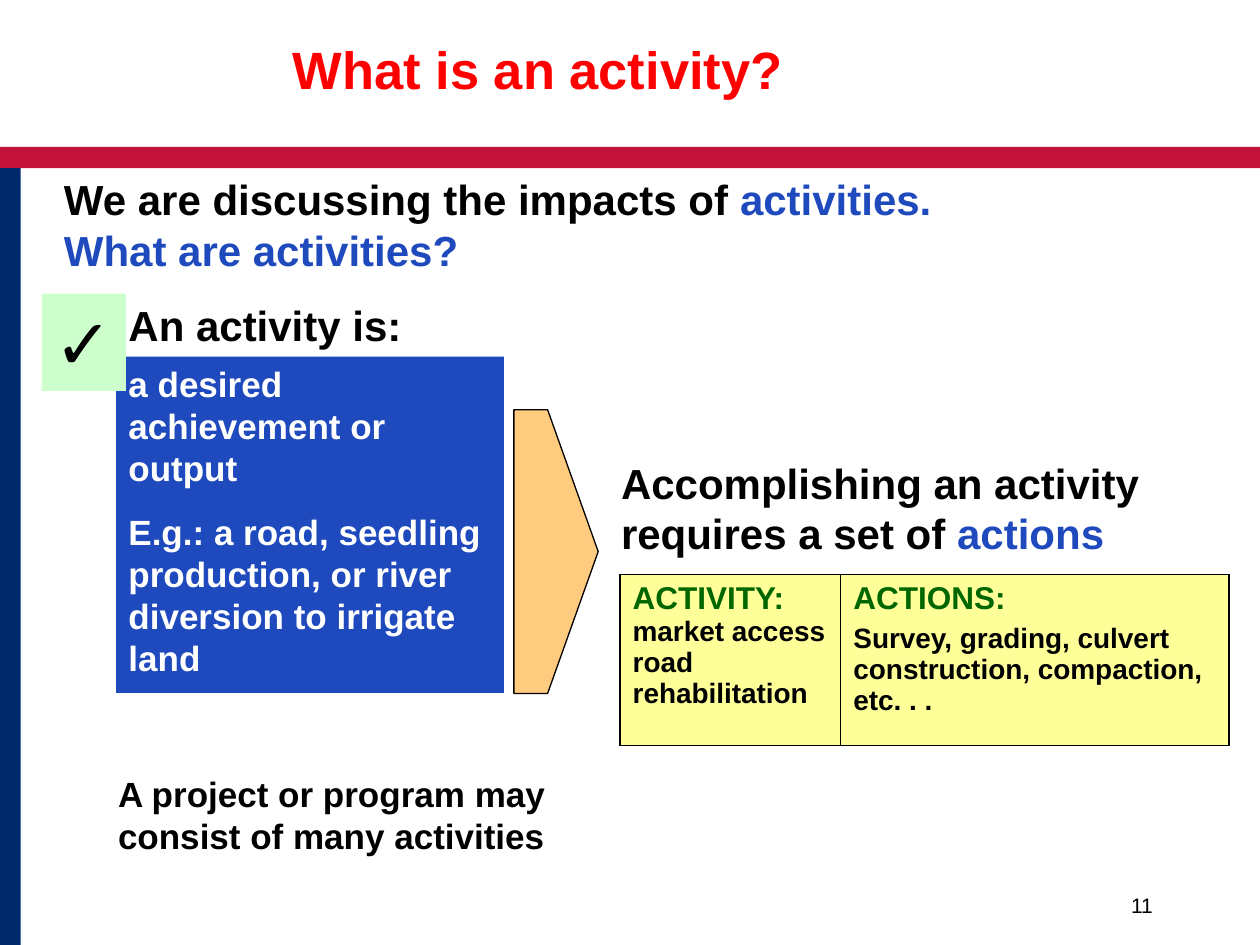
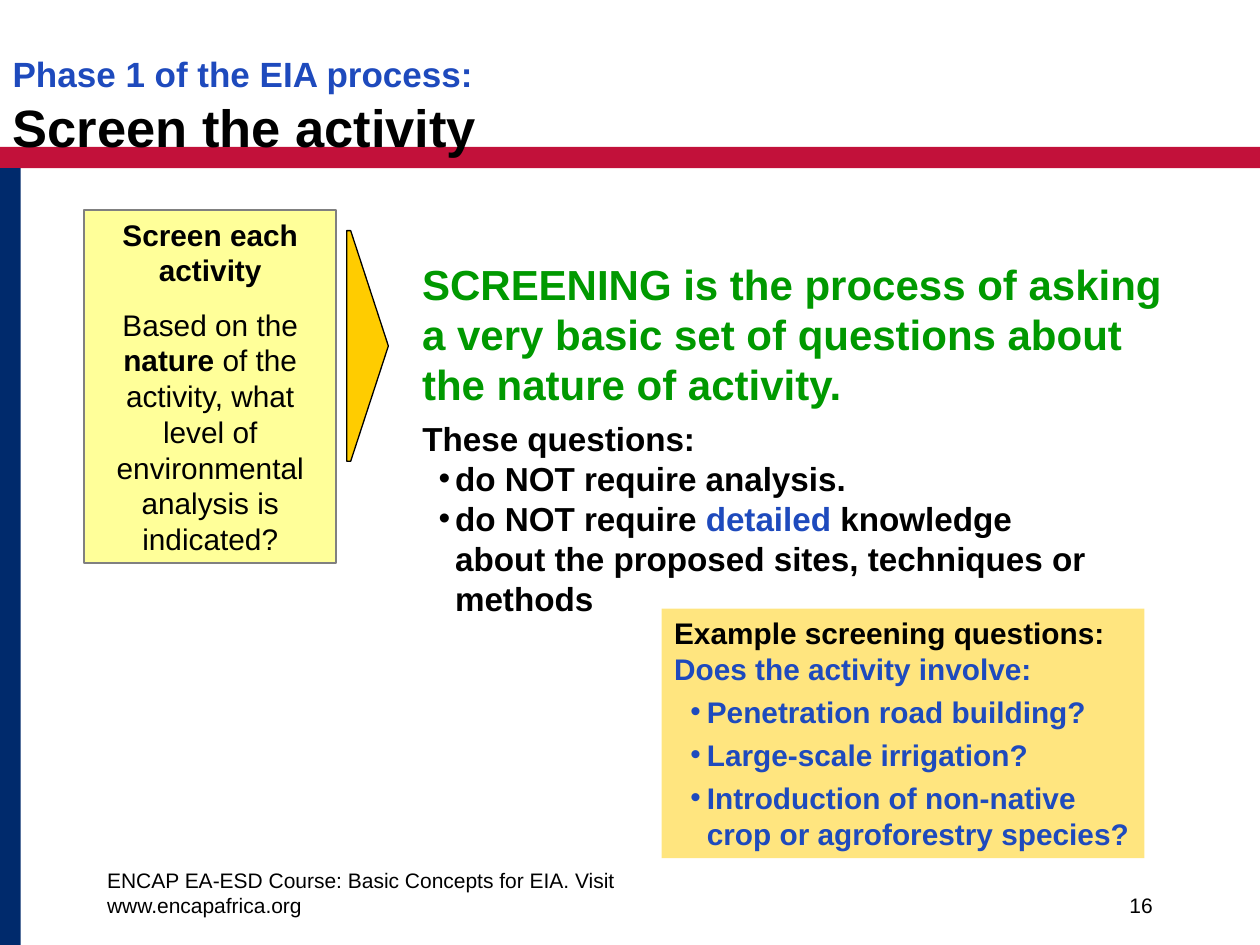
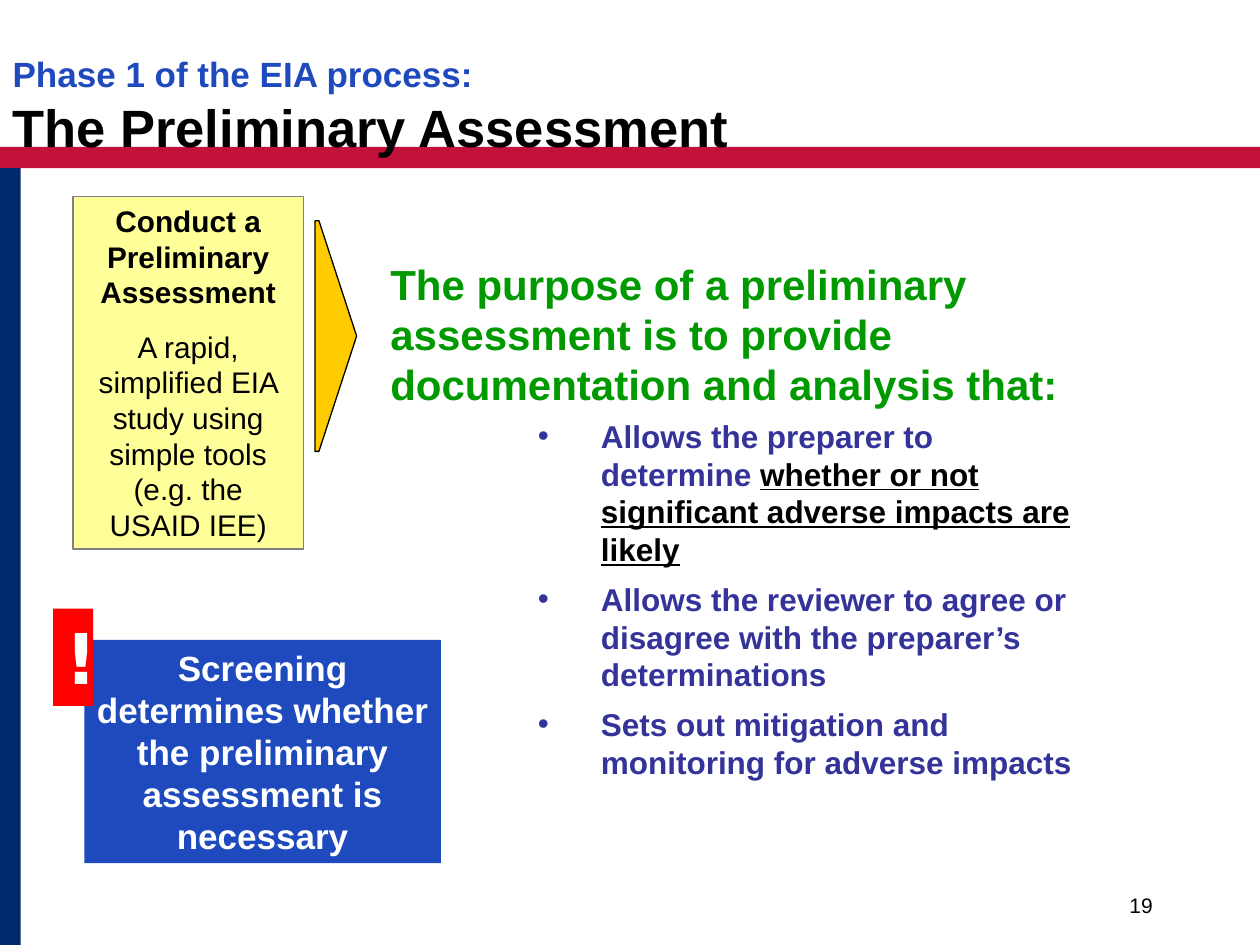
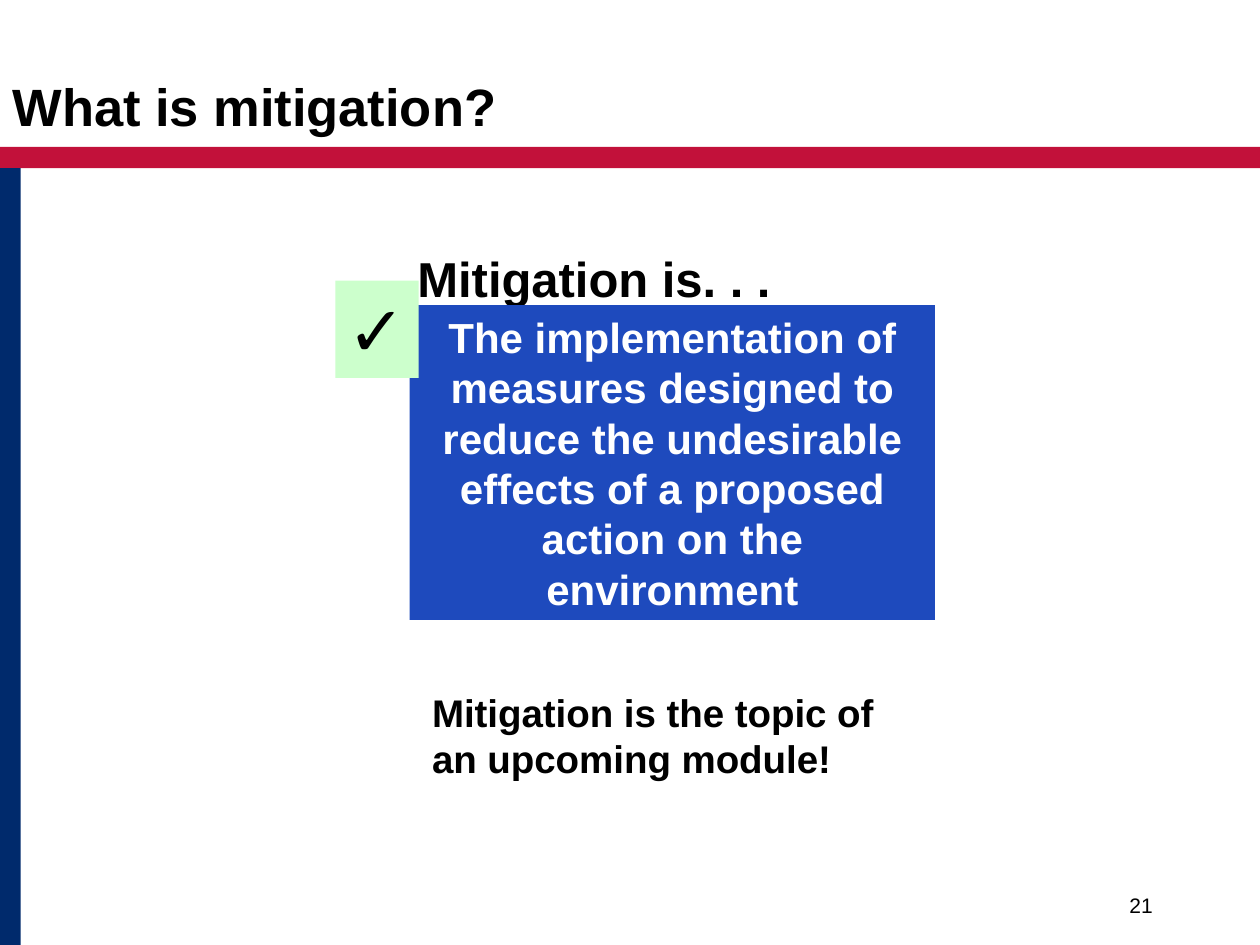
from copy import deepcopy
from dataclasses import dataclass
from typing import Optional

from lxml.etree import SubElement
from pptx import Presentation
from pptx.dml.color import RGBColor
from pptx.enum.shapes import MSO_SHAPE
from pptx.enum.text import MSO_ANCHOR, MSO_AUTO_SIZE, PP_ALIGN
from pptx.oxml.ns import qn
from pptx.util import Cm, Pt


@dataclass(frozen=True)
class Theme:
    font: str = "Arial"
    symbol_font: str = "DejaVu Sans"
    black: str = "000000"
    white: str = "FFFFFF"
    red: str = "FF0000"
    crimson: str = "C2113A"
    navy: str = "002A6C"
    blue: str = "1E4ABD"
    indigo: str = "333399"
    green: str = "009900"
    dark_green: str = "006600"
    mint: str = "CCFFCC"
    yellow: str = "FFFF99"
    gold: str = "FFCC00"
    orange: str = "FF9900"
    gray: str = "808080"
    symbol: float = 40
    title: float = 30
    lead: float = 28
    statement: float = 24
    closing: float = 22
    body: float = 20
    question: float = 19
    list_item: float = 18
    note: float = 17
    cell: float = 16
    footer: float = 12


THEME = Theme()


@dataclass(frozen=True)
class Box:
    left: float
    top: float
    width: float
    height: float

    def lengths(self) -> tuple:
        return Cm(self.left), Cm(self.top), Cm(self.width), Cm(self.height)


@dataclass(frozen=True)
class Run:
    text: str
    size: float
    color: str = THEME.black
    bold: bool = True
    underline: bool = False
    font: str = THEME.font
    break_after: bool = False


@dataclass(frozen=True)
class Para:
    runs: tuple
    align: PP_ALIGN = PP_ALIGN.LEFT
    before: float = 0
    after: float = 0
    margin: float = 0
    hanging: float = 0
    bullet: Optional[str] = None


@dataclass(frozen=True)
class Panel:
    box: Box
    fill: str
    paragraphs: tuple
    line: Optional[str] = None
    opacity: int = 100


@dataclass(frozen=True)
class Arrow:
    box: Box
    point: float
    fill: str
    opacity: int = 100


def para(text: str, size: float, color: str = THEME.black, **layout) -> Para:
    return Para((Run(text, size, color),), **layout)


def bullet(*runs: Run, **layout) -> Para:
    return Para(runs, margin=0.66, hanging=0.33, bullet=runs[0].color, **layout)


def set_bullet(properties, color: Optional[str]) -> None:
    if color is None:
        SubElement(properties, qn("a:buNone"))
        return
    bullet_color = SubElement(properties, qn("a:buClr"))
    SubElement(bullet_color, qn("a:srgbClr"), val=color)
    SubElement(properties, qn("a:buFont"), typeface=THEME.font)
    SubElement(properties, qn("a:buChar"), char="•")


def write(frame, paragraphs: tuple, anchor: MSO_ANCHOR = MSO_ANCHOR.TOP) -> None:
    frame.word_wrap = True
    frame.auto_size = MSO_AUTO_SIZE.NONE
    frame.vertical_anchor = anchor
    for index, content in enumerate(paragraphs):
        paragraph = frame.add_paragraph() if index else frame.paragraphs[0]
        properties = paragraph._p.get_or_add_pPr()
        properties.set("marL", str(Cm(content.margin)))
        properties.set("indent", str(-Cm(content.hanging)))
        set_bullet(properties, content.bullet)
        paragraph.alignment = content.align
        paragraph.space_before = Pt(content.before)
        paragraph.space_after = Pt(content.after)
        for piece in content.runs:
            run = paragraph.add_run()
            run.text = piece.text
            run.font.name = piece.font
            run.font.size = Pt(piece.size)
            run.font.bold = piece.bold
            run.font.underline = piece.underline
            run.font.color.rgb = RGBColor.from_string(piece.color)
            if piece.break_after:
                paragraph.add_line_break()
                paragraph._p[-1].append(deepcopy(run._r.rPr))


def paint(shape, fill: str, line: Optional[str], width: float, opacity: int) -> None:
    shape.shadow.inherit = False
    shape.fill.solid()
    shape.fill.fore_color.rgb = RGBColor.from_string(fill)
    if opacity < 100:
        color = shape.element.spPr.find(qn("a:solidFill"))[0]
        SubElement(color, qn("a:alpha"), val=str(opacity * 1000))
    if line:
        shape.line.color.rgb = RGBColor.from_string(line)
        shape.line.width = Pt(width)
    else:
        shape.line.fill.background()


def add_panel(slide, panel: Panel):
    shape = slide.shapes.add_shape(MSO_SHAPE.RECTANGLE, *panel.box.lengths())
    paint(shape, panel.fill, panel.line, 1, panel.opacity)
    if panel.paragraphs:
        write(shape.text_frame, panel.paragraphs)
    return shape


def add_arrow(slide, arrow: Arrow) -> None:
    left, top, width, height = arrow.box.lengths()
    right, bottom = left + width, top + height
    shoulder = right - Cm(arrow.point)
    builder = slide.shapes.build_freeform(left, top)
    builder.add_line_segments(
        [(shoulder, top), (right, top + height // 2), (shoulder, bottom), (left, bottom)]
    )
    paint(builder.convert_to_shape(), arrow.fill, THEME.black, 0.75, arrow.opacity)


def add_text(slide, box: Box, *paragraphs: Para, anchor: MSO_ANCHOR = MSO_ANCHOR.TOP) -> None:
    write(slide.shapes.add_textbox(*box.lengths()).text_frame, paragraphs, anchor)


def place(placeholder, box: Box) -> None:
    placeholder.left, placeholder.top, placeholder.width, placeholder.height = box.lengths()


def set_title(slide, box: Box, title: Para, anchor: MSO_ANCHOR = MSO_ANCHOR.MIDDLE) -> None:
    place(slide.shapes.title, box)
    write(slide.shapes.title.text_frame, (title,), anchor)


def set_phase_title(slide, text: str) -> None:
    phase = Run("Phase 1 of the EIA process:", THEME.body, THEME.blue, break_after=True)
    set_title(
        slide, Box(0, 0.84, 21.59, 1.7), Para((phase, Run(text, THEME.title))), MSO_ANCHOR.TOP
    )
    slide.shapes.title.text_frame.margin_top = Cm(0.22)


def set_body(slide, box: Box, *paragraphs: Para, anchor: MSO_ANCHOR = MSO_ANCHOR.TOP) -> None:
    body = slide.placeholders[1]
    place(body, box)
    write(body.text_frame, paragraphs, anchor)


def add_page_number(slide, number: int) -> None:
    page = Run(str(number), THEME.footer, bold=False)
    add_text(
        slide,
        Box(18.21, 17.35, 5.28, 1.27),
        Para((page,), PP_ALIGN.RIGHT),
        anchor=MSO_ANCHOR.BOTTOM,
    )


def add_check(slide, box: Box) -> None:
    add_panel(slide, Panel(box, THEME.mint, (para("✓", THEME.symbol),)))


def add_master_bands(master, slide) -> None:
    bands = (
        Panel(Box(0, 2.96, 25.4, 0.43), THEME.crimson, ()),
        Panel(Box(0, 3.39, 0.42, 15.66), THEME.navy, ()),
    )
    for index, band in enumerate(bands):
        element = add_panel(slide, band).element
        element.nvSpPr.cNvPr.set("id", str(101 + index))
        master.shapes.element.insert(2 + index, element)


def set_borders(cell, widths: dict) -> None:
    properties = cell._tc.get_or_add_tcPr()
    for side in ("lnL", "lnR", "lnT", "lnB"):
        border = SubElement(properties, qn(f"a:{side}"), w=str(Pt(widths.get(side, 1.08))))
        fill = SubElement(border, qn("a:solidFill"))
        SubElement(fill, qn("a:srgbClr"), val=THEME.black)


def add_actions_table(slide) -> None:
    table = slide.shapes.add_table(1, 2, *Box(12.5, 11.58, 12.27, 3.45).lengths()).table
    table.first_row = table.horz_banding = False
    activity = Para((
        Run("ACTIVITY:", THEME.list_item, THEME.dark_green, break_after=True),
        Run("market access road rehabilitation", THEME.cell),
    ))
    actions = (
        para("ACTIONS:", THEME.list_item, THEME.dark_green),
        para("Survey, grading, culvert construction, compaction, etc. . .", THEME.cell, before=4),
    )
    columns = ((4.45, (activity,), "lnR"), (7.82, actions, "lnL"))
    for index, (width, paragraphs, inner_side) in enumerate(columns):
        table.columns[index].width = Cm(width)
        cell = table.cell(0, index)
        set_borders(cell, {inner_side: 0.45})
        cell.fill.solid()
        cell.fill.fore_color.rgb = RGBColor.from_string(THEME.yellow)
        write(cell.text_frame, paragraphs)


def build_activity(slide) -> None:
    set_title(
        slide,
        Box(0.05, 0.53, 21.59, 1.7),
        para("What is an activity?", THEME.title, THEME.red, align=PP_ALIGN.CENTER),
    )
    add_page_number(slide, 11)
    add_actions_table(slide)
    definition = (
        "a desired achievement or output",
        "E.g.: a road, seedling production, or river diversion to irrigate land",
    )
    add_panel(slide, Panel(
        Box(2.34, 7.19, 7.82, 6.78),
        THEME.blue,
        tuple(para(text, THEME.body, THEME.white, after=12.5) for text in definition),
    ))
    add_text(slide, Box(2.34, 5.92, 9.32, 1.27), para("An activity is:", THEME.statement))
    add_check(slide, Box(0.84, 5.92, 1.7, 1.96))
    add_arrow(slide, Arrow(Box(10.36, 8.26, 1.7, 5.72), 1.02, THEME.orange, 50))
    add_text(slide, Box(12.27, 9.09, 11.43, 1.27), Para((
        Run("Accomplishing an activity requires a set of ", THEME.statement),
        Run("actions", THEME.statement, THEME.blue),
    )))
    add_text(slide, Box(1.04, 3.38, 18.1, 2.29), Para((
        Run("We are discussing the impacts of ", THEME.statement),
        Run("activities.", THEME.statement, THEME.blue, break_after=True),
        Run("What are activities?", THEME.statement, THEME.blue),
    )))
    add_text(
        slide,
        Box(2.13, 15.44, 11.2, 1.96),
        para("A project or program may consist of many activities", THEME.body),
    )


def build_screening(slide) -> None:
    set_phase_title(slide, "Screen the activity")
    set_body(
        slide,
        Box(8.26, 8.31, 13.97, 4.29),
        para("These questions:", THEME.question),
        bullet(Run("do NOT require analysis.", THEME.question)),
        bullet(
            Run("do NOT require ", THEME.question),
            Run("detailed", THEME.question, THEME.blue),
            Run(" knowledge about the proposed sites, techniques or methods", THEME.question),
        ),
    )
    footer = Run(
        "ENCAP EA-ESD Course: Basic Concepts for EIA. Visit www.encapafrica.org",
        THEME.footer,
        bold=False,
    )
    add_text(slide, Box(1.91, 17.35, 12.7, 1.27), Para((footer,)), anchor=MSO_ANCHOR.BOTTOM)
    add_page_number(slide, 16)
    nature = Para((
        Run("Based on the ", THEME.note, bold=False),
        Run("nature", THEME.note),
        Run(
            " of the activity, what level of environmental analysis is indicated?",
            THEME.note,
            bold=False,
        ),
    ), PP_ALIGN.CENTER, after=10.6)
    step = para("Screen each activity", THEME.note, align=PP_ALIGN.CENTER, after=10.6)
    add_panel(slide, Panel(Box(1.7, 4.24, 5.08, 7.11), THEME.yellow, (step, nature), THEME.gray))
    add_arrow(slide, Arrow(Box(6.99, 4.65, 0.84, 4.65), 0.76, THEME.gold))
    add_text(slide, Box(8.26, 5.08, 15.88, 3.3), para(
        "SCREENING is the process of asking a very basic set of questions "
        "about the nature of activity.",
        THEME.statement,
        THEME.green,
    ))
    heading = Para((
        Run("Example screening questions: ", THEME.note),
        Run("Does the activity involve:", THEME.note, THEME.blue),
    ))
    examples = (
        "Penetration road building?",
        "Large-scale irrigation?",
        "Introduction of non-native crop or agroforestry species?",
    )
    questions = tuple(bullet(Run(text, THEME.note, THEME.blue), before=4.2) for text in examples)
    add_panel(slide, Panel(
        Box(13.34, 12.27, 9.73, 5.03), THEME.gold, (heading, *questions), opacity=50
    ))


def build_assessment(slide) -> None:
    set_phase_title(slide, "The Preliminary Assessment")
    purposes = (
        (
            Run("Allows the preparer to determine ", THEME.list_item, THEME.indigo),
            Run(
                "whether or not significant adverse impacts are likely",
                THEME.list_item,
                underline=True,
            ),
        ),
        (Run(
            "Allows the reviewer to agree or disagree with the preparer’s determinations",
            THEME.list_item,
            THEME.indigo,
        ),),
        (Run(
            "Sets out mitigation and monitoring for adverse impacts",
            THEME.list_item,
            THEME.indigo,
        ),),
    )
    set_body(
        slide,
        Box(10.59, 8.26, 11.63, 7.62),
        *(
            Para(runs, after=6.8, margin=1.27, hanging=1.27, bullet=THEME.indigo)
            for runs in purposes
        ),
        anchor=MSO_ANCHOR.MIDDLE,
    )
    add_page_number(slide, 19)
    step = para("Conduct a Preliminary Assessment", THEME.note, align=PP_ALIGN.CENTER)
    study = Para((
        Run(
            "A rapid, simplified EIA study using simple tools",
            THEME.note,
            bold=False,
            break_after=True,
        ),
        Run("(e.g. the USAID IEE)", THEME.note, bold=False),
    ), PP_ALIGN.CENTER, before=10.6)
    add_panel(slide, Panel(Box(1.47, 3.96, 4.65, 7.11), THEME.yellow, (step, study), THEME.gray))
    add_arrow(slide, Arrow(Box(6.35, 4.45, 0.84, 4.65), 0.76, THEME.gold))
    add_text(slide, Box(7.62, 5.08, 15.88, 3.3), para(
        "The purpose of a preliminary assessment is to provide documentation and analysis that:",
        THEME.statement,
        THEME.green,
    ))
    add_panel(slide, Panel(Box(1.7, 12.9, 7.19, 4.5), THEME.blue, (para(
        "Screening determines whether the preliminary assessment is necessary",
        THEME.body,
        THEME.white,
        align=PP_ALIGN.CENTER,
    ),)))
    warning = Run("!", THEME.symbol, THEME.white, font=THEME.symbol_font)
    add_panel(slide, Panel(Box(1.07, 12.27, 0.81, 1.96), THEME.red, (Para((warning,)),)))


def build_mitigation(slide) -> None:
    set_title(slide, Box(0, 1.27, 21.59, 1.7), para("What is mitigation?", THEME.title))
    set_body(
        slide,
        Box(7.19, 4.88, 13.54, 1.7),
        para("Mitigation is. . .", THEME.lead, margin=0.97),
    )
    add_page_number(slide, 21)
    add_panel(slide, Panel(Box(8.26, 6.15, 10.59, 6.35), THEME.blue, (para(
        "The implementation of measures designed to reduce the undesirable effects "
        "of a proposed action on the environment",
        THEME.statement,
        THEME.white,
        align=PP_ALIGN.CENTER,
    ),)))
    add_check(slide, Box(6.76, 5.66, 1.68, 1.96))
    add_text(
        slide,
        Box(8.46, 13.77, 10.36, 2.13),
        para("Mitigation is the topic of an upcoming module!", THEME.closing),
    )


def main() -> None:
    presentation = Presentation()
    presentation.slide_width, presentation.slide_height = Cm(25.4), Cm(19.05)
    title_and_content, title_only = (presentation.slide_layouts[i] for i in (1, 5))
    pages = (
        (title_only, build_activity),
        (title_and_content, build_screening),
        (title_and_content, build_assessment),
        (title_and_content, build_mitigation),
    )
    for index, (layout, build) in enumerate(pages):
        slide = presentation.slides.add_slide(layout)
        if index == 0:
            add_master_bands(presentation.slide_master, slide)
        build(slide)
    presentation.save("out.pptx")


if __name__ == "__main__":
    main()
